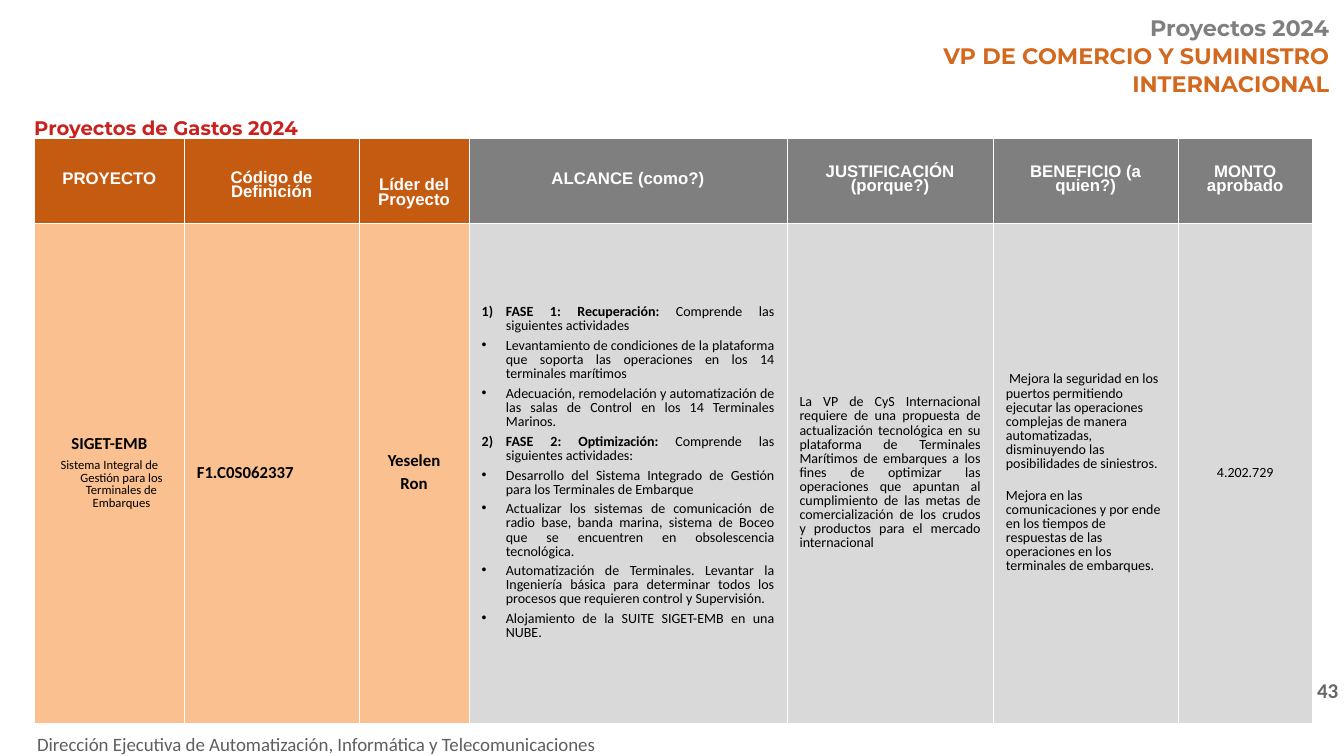
from lxml import etree
from pptx import Presentation
from pptx import util as u
from pptx.dml.color import RGBColor
from pptx.enum import text
from pptx.oxml import ns

CENTER, LEFT = text.PP_ALIGN.CENTER, text.PP_ALIGN.LEFT
RIGHT, JUSTIFY = text.PP_ALIGN.RIGHT, text.PP_ALIGN.JUSTIFY
ORANGE, GRAY, PEACH, SILVER = "C55A11", "7F7F7F", "FAC090", "D9D9D9"


def color(hex_value):
    return RGBColor.from_string(hex_value)


def write(frame, words, lead="", size=10, font="Calibri", ink="000000", bold=False,
          align=LEFT, line=None, before=0.5, after=0.5, margin=0, indent=0,
          bullet=None, number=None):
    """Add a paragraph; lead is a bold opening, margin and indent are in cm."""
    first = not frame.paragraphs[0].runs
    paragraph = frame.paragraphs[0] if first else frame.add_paragraph()
    properties = paragraph._p.get_or_add_pPr()
    if margin or indent:
        properties.set("marL", str(u.Cm(margin)))
        properties.set("indent", str(u.Cm(indent)))
    if bullet:
        etree.SubElement(properties, ns.qn("a:buFont"), typeface="Arial")
        etree.SubElement(properties, ns.qn("a:buChar"), char=bullet)
    elif number:
        etree.SubElement(properties, ns.qn("a:buFont"), typeface="+mj-lt")
        etree.SubElement(properties, ns.qn("a:buAutoNum"),
                         type="arabicParenR", startAt=str(number))
    paragraph.alignment = align
    paragraph.line_spacing = line
    paragraph.space_before = u.Pt(0 if first else before)
    paragraph.space_after = u.Pt(after)
    for part, weight in ((lead, True), (words, bold)):
        if part:
            run = paragraph.add_run()
            run.text = part
            run.font.size, run.font.name, run.font.bold = u.Pt(size), font, weight
            run.font.color.rgb = color(ink)


presentation = Presentation()
presentation.slide_width, presentation.slide_height = u.Cm(33.87), u.Cm(19.05)
slide = presentation.slides.add_slide(presentation.slide_layouts[5])

# Title
title = slide.shapes.title
title.left, title.top, title.width, title.height = u.Cm(6.22), u.Cm(0.23), u.Cm(27.53), u.Cm(2.34)
title.text_frame.auto_size = text.MSO_AUTO_SIZE.NONE
title.text_frame.vertical_anchor = text.MSO_ANCHOR.MIDDLE
for words, ink in (("Proyectos 2024", GRAY),
                   ("VP DE COMERCIO Y SUMINISTRO", "D2691E"),
                   ("INTERNACIONAL", "D2691E")):
    write(title.text_frame, words, size=16, font="Montserrat", ink=ink, bold=True,
          align=RIGHT, line=1.0)

# Subtitle, footer and page number
labels = [
    ("Proyectos de Gastos 2024", (0.61, 2.79, 27.53, 0.84),
     dict(size=14, font="Montserrat", ink="C9211E", bold=True)),
    ("Dirección Ejecutiva de Automatización, Informática y Telecomunicaciones",
     (0.36, 18.34, 15.21, 0.81), dict(size=13.5, ink="5F5F5F", align=CENTER)),
    ("43", (32.51, 16.99, 1.9, 0.81), dict(size=15, ink="666666", bold=True, align=CENTER)),
]
for words, place, style in labels:
    box = slide.shapes.add_textbox(*[u.Cm(length) for length in place])
    box.text_frame.word_wrap = True
    box.text_frame.vertical_anchor = text.MSO_ANCHOR.MIDDLE
    write(box.text_frame, words, **style)

# Table: heading, width, extra space above the heading
columns = [
    ("PROYECTO", 3.77, 0), ("Código de Definición", 4.41, 0.3),
    ("Líder del Proyecto", 2.77, 0.66), ("ALCANCE (como?)", 8.01, 0),
    ("JUSTIFICACIÓN (porque?)", 5.2, 0), ("BENEFICIO (a quien?)", 4.66, 0),
    ("MONTO aprobado", 3.38, 0),
]
table = slide.shapes.add_table(2, len(columns), u.Cm(0.87), u.Cm(3.49),
                               u.Cm(32.2), u.Cm(14.74)).table
table.rows[0].height, table.rows[1].height = u.Cm(2.12), u.Cm(12.62)
for index, (heading, width, drop) in enumerate(columns):
    table.columns[index].width = u.Cm(width)
    fills = (ORANGE, PEACH) if index < 3 else (GRAY, SILVER)
    for row, fill in enumerate(fills):
        cell = table.cell(row, index)
        cell.vertical_anchor = text.MSO_ANCHOR.MIDDLE
        cell.margin_left = cell.margin_right = u.Cm(0.32)
        cell.margin_top = cell.margin_bottom = u.Cm(0.13)
        for side in ("a:lnL", "a:lnR", "a:lnT", "a:lnB"):
            border = etree.SubElement(cell._tc.get_or_add_tcPr(), ns.qn(side), w="762")
            solid = etree.SubElement(border, ns.qn("a:solidFill"))
            etree.SubElement(solid, ns.qn("a:srgbClr"), val="FFFFFF")
        cell.fill.solid()
        cell.fill.fore_color.rgb = color(fill)
    header = table.cell(0, index)
    header.margin_top = u.Cm(0.13 + drop)
    write(header.text_frame, heading, size=12, font="Arial", ink="FFFFFF", bold=True,
          align=CENTER, line=0.76)

project, code, leader, scope, reason, benefit, amount = [
    table.cell(1, index).text_frame for index in range(len(columns))]

# Project, code and leader
hanging = dict(margin=0.61, indent=-0.61, line=0.83)
write(project, "SIGET-EMB", size=12, bold=True, align=CENTER, **hanging)
write(project, "Sistema Integral de Gestión para los Terminales de Embarques",
      size=9, align=CENTER, before=4, **hanging)
write(code, "F1.C0S062337", size=12, bold=True, line=0.83)
for name in ("Yeselen", "Ron"):
    write(leader, name, size=12, bold=True, align=CENTER, line=0.83, before=4)

# Scope by phase
phases = [
    ("FASE 1: Recuperación: ", "Comprende las siguientes actividades", [
        "Levantamiento de condiciones de la plataforma que soporta las operaciones en los 14 terminales marítimos",
        "Adecuación, remodelación y automatización de las salas de Control en los 14 Terminales Marinos.",
    ]),
    ("FASE 2: Optimización: ", "Comprende las siguientes actividades:", [
        "Desarrollo del Sistema Integrado de Gestión para los Terminales de Embarque",
        "Actualizar los sistemas de comunicación de radio base, banda marina, sistema de Boceo que se encuentren en obsolescencia tecnológica.",
        "Automatización de Terminales. Levantar la Ingeniería básica para determinar todos los procesos que requieren control y Supervisión.",
        "Alojamiento de la SUITE SIGET-EMB en una NUBE.",
    ]),
]
item = dict(hanging, align=JUSTIFY, before=3.8, after=0.2)
for number, (phase, summary, activities) in enumerate(phases, 1):
    write(scope, summary, lead=phase, number=number, **item)
    for activity in activities:
        write(scope, activity, bullet="•", **item)

# Justification, benefit and amount
write(reason, "La VP de CyS Internacional requiere de una propuesta de actualización tecnológica "
      "en su plataforma de Terminales Marítimos de embarques a los fines de optimizar las "
      "operaciones que apuntan al cumplimiento de las metas de comercialización de los crudos "
      "y productos para el mercado internacional", align=JUSTIFY, line=0.83)
write(benefit, "Mejora la seguridad en los puertos permitiendo ejecutar las operaciones complejas "
      "de manera automatizadas, disminuyendo las posibilidades de siniestros.",
      indent=0.08, line=0.83)
write(benefit, "Mejora en las comunicaciones y por ende en los tiempos de respuestas de las "
      "operaciones en los terminales de embarques.", line=0.83, before=12)
write(amount, "4.202.729", align=CENTER, line=0.83)

presentation.save("out.pptx")
